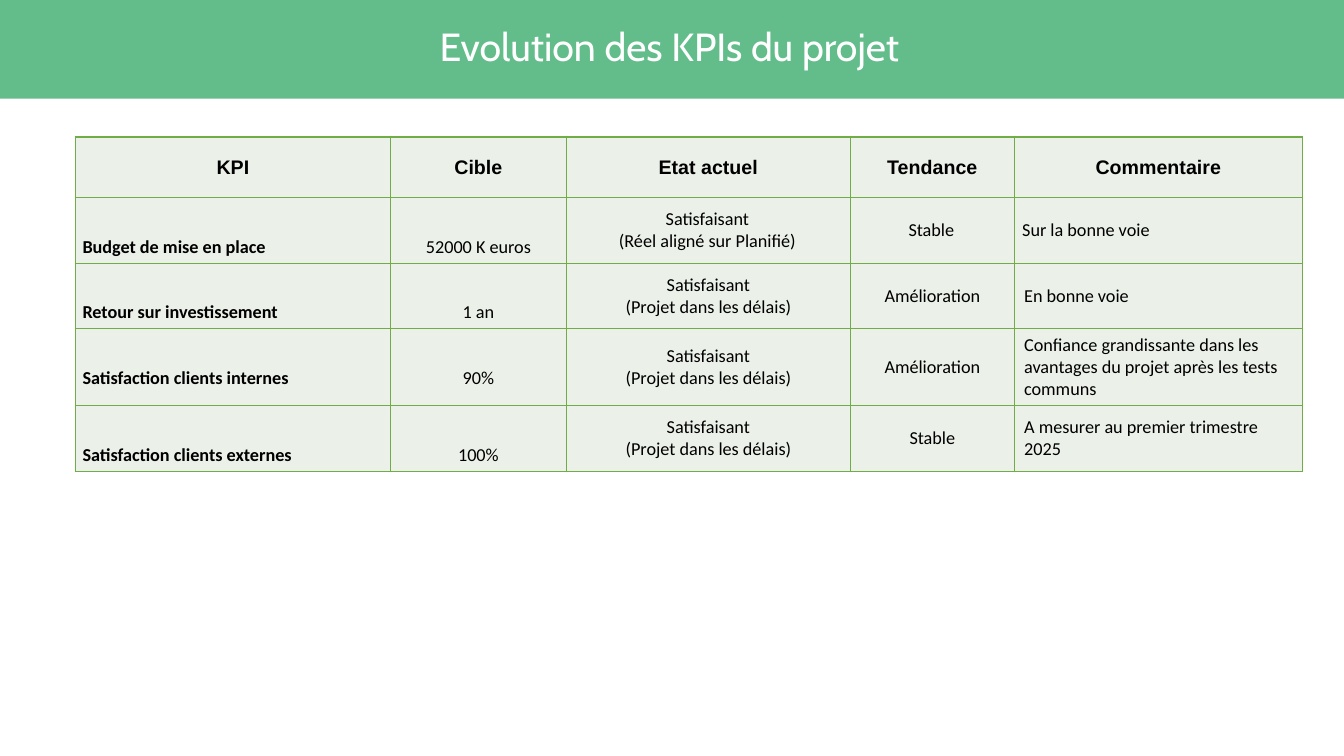
from dataclasses import dataclass

from lxml import etree
from pptx import Presentation
from pptx.dml.color import RGBColor
from pptx.enum.shapes import MSO_SHAPE
from pptx.enum.text import MSO_ANCHOR, MSO_AUTO_SIZE, PP_ALIGN
from pptx.oxml.ns import qn
from pptx.util import Cm, Pt

RECTANGLE = MSO_SHAPE.RECTANGLE
TOP, MIDDLE = MSO_ANCHOR.TOP, MSO_ANCHOR.MIDDLE
LEFT, CENTER = PP_ALIGN.LEFT, PP_ALIGN.CENTER
NO_AUTOFIT = MSO_AUTO_SIZE.NONE


@dataclass(frozen=True)
class Theme:
    band: str = "62BD8A"
    cell: str = "EBF1E9"
    border: str = "70AD47"
    ink: str = "000000"
    white: str = "FFFFFF"
    title_font: str = "Cabin"
    header_font: str = "Arial"
    body_font: str = "Calibri"
    title_size: int = 28
    header_size: int = 14
    body_size: int = 13
    border_width: float = 0.96


THEME = Theme()

COLUMN_WIDTHS = (7.94, 4.43, 7.16, 4.13, 7.26)
ROW_HEIGHTS = (1.53, 1.65, 1.65, 1.94, 1.65)
HEADERS = ("KPI", "Cible", "Etat actuel", "Tendance", "Commentaire")
ON_TIME = "Satisfaisant\n(Projet dans les délais)"
KPIS = (
    ("Budget de mise en place", "52000 K euros",
     "Satisfaisant\n(Réel aligné sur Planifié)", "Stable", "Sur la bonne voie"),
    ("Retour sur investissement", "1 an", ON_TIME, "Amélioration", "En bonne voie"),
    ("Satisfaction clients internes", "90%", ON_TIME, "Amélioration",
     "Confiance grandissante dans les avantages du projet après les tests communs"),
    ("Satisfaction clients externes", "100%", ON_TIME, "Stable",
     "A mesurer au premier trimestre 2025"),
)

# Cell layouts
MIDDLE_CELL = {"vertical_anchor": MIDDLE, "margin_left": Cm(0.25),
               "margin_right": Cm(0.25)}
FIRST_ROW_CELL = MIDDLE_CELL | {"margin_left": Cm(0.2)}
SPACED_CELL = {"vertical_anchor": TOP, "margin_left": Cm(0.18),
               "margin_right": Cm(0.18)}


def set_attributes(target, values):
    for name, value in values.items():
        setattr(target, name, value)


def format_text(tf, font, size, color, bold, **paragraph_format):
    for p in tf.paragraphs:
        set_attributes(p, paragraph_format)
        for r in p.runs:
            set_attributes(r.font, {"name": font, "size": Pt(size), "bold": bold})
            r.font.color.rgb = RGBColor.from_string(color)


def add_borders(cell):
    tc_pr = cell._tc.get_or_add_tcPr()
    for side in ("lnL", "lnR", "lnT", "lnB"):
        ln = etree.SubElement(tc_pr, qn(f"a:{side}"),
                              w=str(Pt(THEME.border_width)))
        fill = etree.SubElement(ln, qn("a:solidFill"))
        etree.SubElement(fill, qn("a:srgbClr"), val=THEME.border)


def fill_cell(cell, text, layout, **text_format):
    cell.text = text
    set_attributes(cell, layout)
    add_borders(cell)
    cell.fill.solid()
    cell.fill.fore_color.rgb = RGBColor.from_string(THEME.cell)
    format_text(cell.text_frame, color=THEME.ink, **text_format)


def add_kpi_table(s):
    frame = s.shapes.add_table(len(ROW_HEIGHTS), len(COLUMN_WIDTHS),
                               Cm(1.9), Cm(3.45),
                               Cm(sum(COLUMN_WIDTHS)), Cm(sum(ROW_HEIGHTS)))
    table = frame.table
    set_attributes(table, {"first_row": False, "horz_banding": False})
    for column, width in zip(table.columns, COLUMN_WIDTHS):
        column.width = Cm(width)
    for row, height in zip(table.rows, ROW_HEIGHTS):
        row.height = Cm(height)

    for col, header in enumerate(HEADERS):
        fill_cell(table.cell(0, col), header, MIDDLE_CELL,
                  font=THEME.header_font, size=THEME.header_size,
                  bold=True, alignment=CENTER)

    # Names and targets sit low in their rows through wide line spacing
    for row, kpi in enumerate(KPIS, start=1):
        middle = FIRST_ROW_CELL if row == 1 else MIDDLE_CELL
        for col, text in enumerate(kpi):
            spaced = col < 2
            fill_cell(table.cell(row, col), text,
                      SPACED_CELL if spaced else middle,
                      font=THEME.body_font, size=THEME.body_size, bold=col == 0,
                      alignment=LEFT if col in (0, 4) else CENTER,
                      line_spacing=2.5 if spaced else 1.0)


def add_band(s):
    band = s.shapes.add_shape(RECTANGLE, 0, 0, Cm(33.93), Cm(2.49))
    band.shadow.inherit = False
    band.fill.solid()
    band.fill.fore_color.rgb = RGBColor.from_string(THEME.band)
    band.line.fill.background()


def set_title(s, text):
    title = s.shapes.title
    set_attributes(title, {"left": Cm(1.22), "top": Cm(0.56),
                           "width": Cm(31.29), "height": Cm(1.35)})
    tf = title.text_frame
    tf.text = text
    set_attributes(tf, {"word_wrap": True, "auto_size": NO_AUTOFIT,
                        "vertical_anchor": MIDDLE})
    format_text(tf, THEME.title_font, THEME.title_size, THEME.white, False,
                alignment=CENTER, line_spacing=0.9, space_before=Pt(0))
    # Bring the title in front of the band
    title.element.getparent().append(title.element)


def main():
    prs = Presentation()
    prs.slide_width, prs.slide_height = Cm(33.87), Cm(19.05)
    s = prs.slides.add_slide(prs.slide_layouts[5])
    add_kpi_table(s)
    add_band(s)
    set_title(s, "Evolution des KPIs du projet")
    prs.save("out.pptx")


if __name__ == "__main__":
    main()
